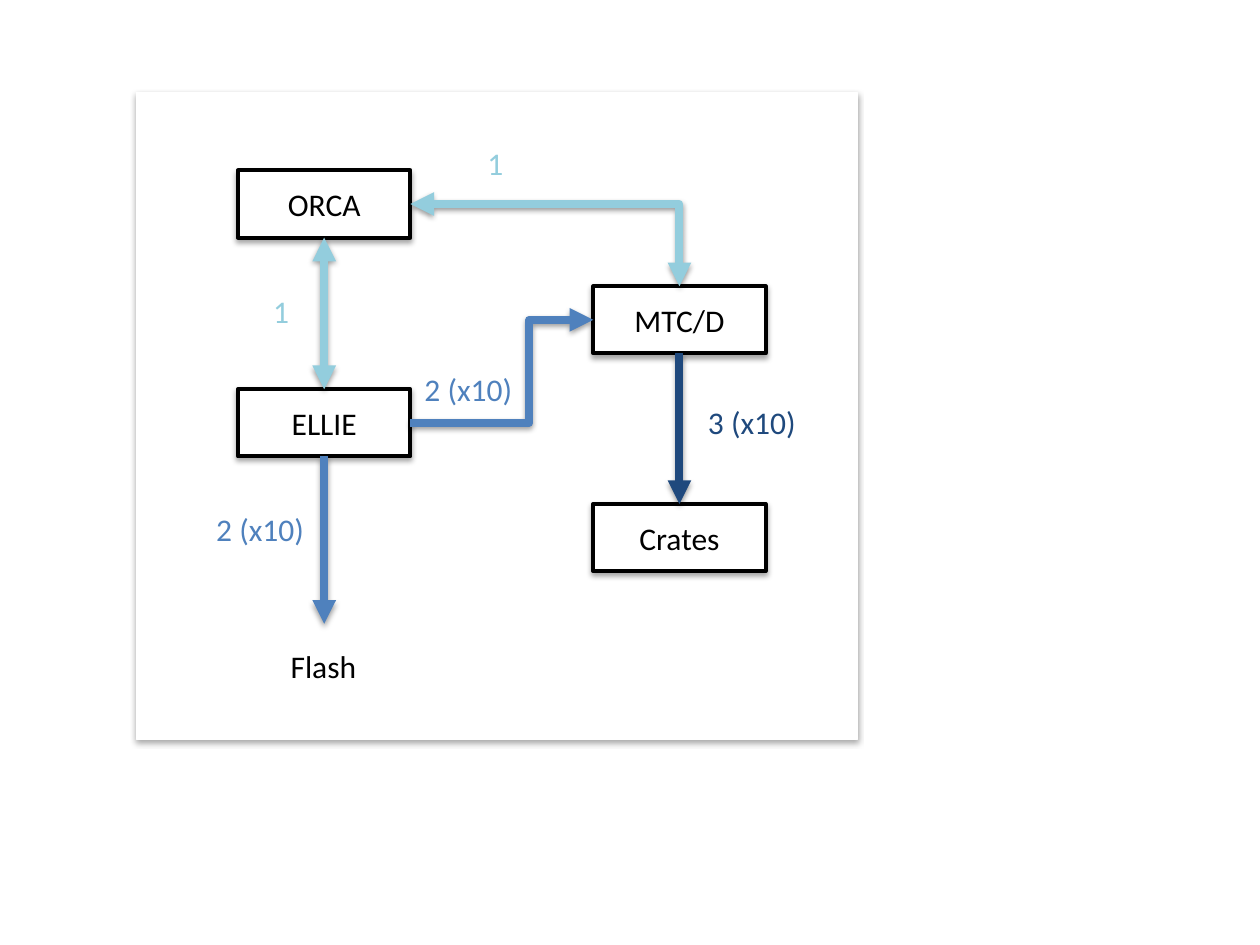
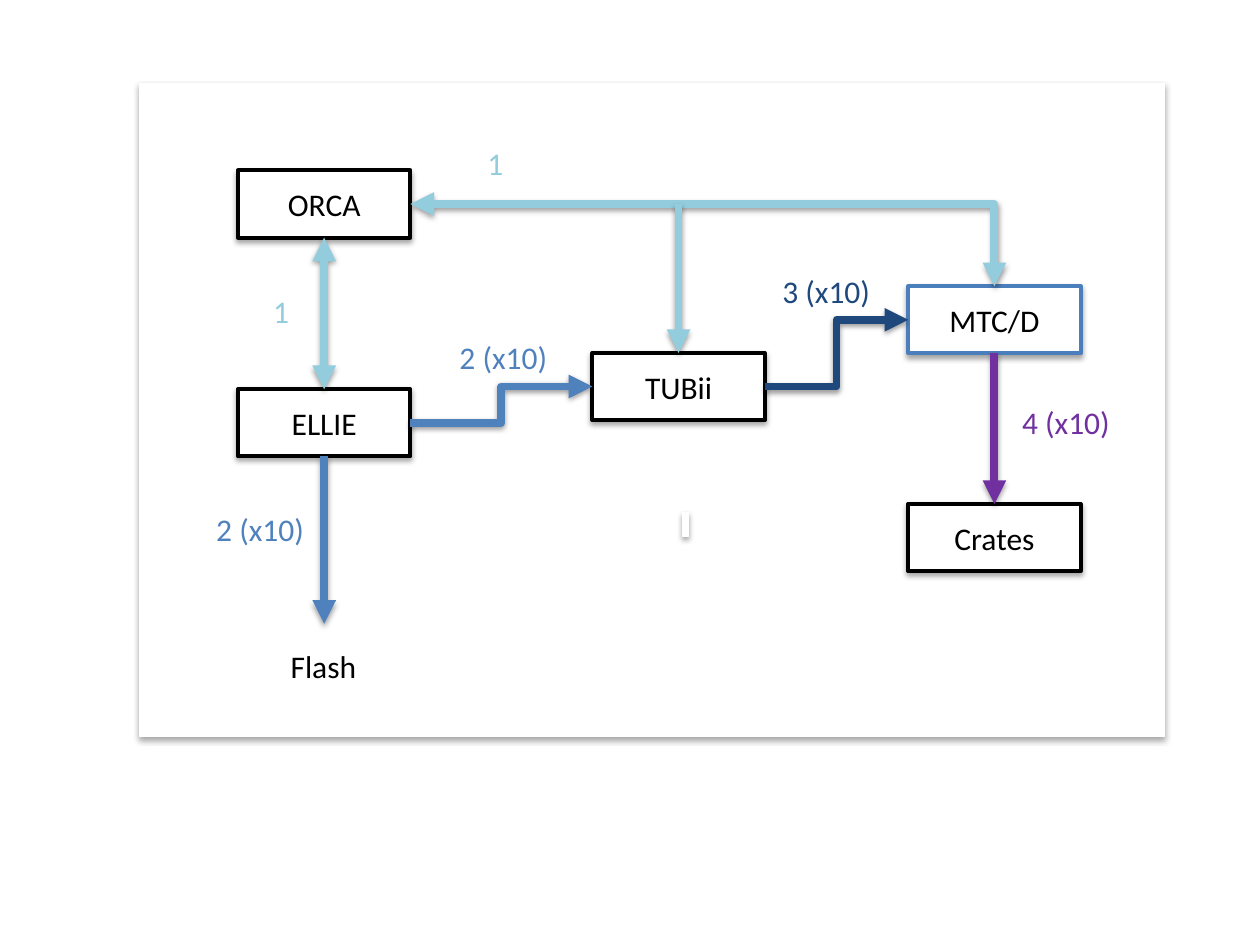
from dataclasses import dataclass
from typing import Any, Optional

from lxml.etree import SubElement
from pptx import Presentation
from pptx.dml.color import RGBColor
from pptx.enum.shapes import MSO_CONNECTOR as LINK, MSO_SHAPE as SHAPE
from pptx.enum.text import MSO_ANCHOR as ANCHOR, PP_ALIGN as ALIGN
from pptx.oxml.ns import qn
from pptx.util import Pt

# Colours
WHITE = RGBColor(0xFF, 0xFF, 0xFF)
BLACK = RGBColor(0x00, 0x00, 0x00)
SKY = RGBColor(0x93, 0xCD, 0xDD)
BLUE = RGBColor(0x4F, 0x81, 0xBD)
EDGE_BLUE = RGBColor(0x4B, 0x7E, 0xBC)
NAVY = RGBColor(0x1F, 0x49, 0x7D)
PURPLE = RGBColor(0x70, 0x30, 0xA0)

# Shared formats and measures, in points
FONT = {"name": "Calibri", "size": Pt(18)}
CENTRED = {"vertical_anchor": ANCHOR.MIDDLE, "word_wrap": True}
BOX_W, BOX_H = 98.5, 38.4
LABEL_H = 29
ONE_W, TIMES_W, FLASH_W = 25, 80.5, 52
LEFT_X, MIDDLE_X, RIGHT_X = 136, 339, 519
FLASH_TIP_Y = 356.5
TOP, LEFT, BOTTOM, RIGHT = range(4)


@dataclass(frozen=True)
class Box:
    x: float
    y: float
    text: str = ""
    edge: RGBColor = BLACK
    w: float = BOX_W
    h: float = BOX_H
    edge_width: float = 2.25

    def site(self, side: int) -> tuple[float, float]:
        """Middle of the given side."""
        middle_x, middle_y = self.x + self.w / 2, self.y + self.h / 2
        return ((middle_x, self.y), (self.x, middle_y),
                (middle_x, self.y + self.h), (self.x + self.w, middle_y))[side]


@dataclass(frozen=True)
class Arrow:
    """Runs between box sides; a free end is given as a point."""
    color: RGBColor
    start: Optional[tuple[Box, int]] = None
    end: Optional[tuple[Box, int]] = None
    point: tuple[float, float] = (0, 0)
    two_way: bool = False
    bend: Optional[float] = None  # share of the width; 1 is a single corner


@dataclass(frozen=True)
class Label:
    x: float
    y: float
    w: float
    text: str
    color: RGBColor
    wrap: bool = True


def apply(target: Any, values: dict) -> None:
    for key, value in values.items():
        setattr(target, key, value)


def add_shadow(properties: Any, distance: float, opacity: int) -> None:
    effects = SubElement(properties, qn("a:effectLst"))
    shadow = SubElement(effects, qn("a:outerShdw"), blurRad=str(Pt(3.15)),
                        dist=str(Pt(distance)), dir="5400000", rotWithShape="0")
    black = SubElement(shadow, qn("a:srgbClr"), val=str(BLACK))
    SubElement(black, qn("a:alpha"), val=str(opacity * 1000))


def write(frame: Any, text: str, color: RGBColor) -> None:
    run = frame.paragraphs[0].add_run()
    run.text = text
    apply(run.font, FONT)
    run.font.color.rgb = color


def draw_box(slide: Any, box: Box) -> Any:
    shape = slide.shapes.add_shape(SHAPE.RECTANGLE, Pt(box.x), Pt(box.y),
                                   Pt(box.w), Pt(box.h))
    shape.fill.solid()
    shape.fill.fore_color.rgb = WHITE
    shape.line.color.rgb = box.edge
    shape.line.width = Pt(box.edge_width)
    add_shadow(shape._element.spPr, 1.8, 35)
    if box.text:
        apply(shape.text_frame, CENTRED)
        shape.text_frame.paragraphs[0].alignment = ALIGN.CENTER
        write(shape.text_frame, box.text, BLACK)
    return shape


def draw_arrow(slide: Any, arrow: Arrow, shapes: dict[Box, Any]) -> None:
    begin, finish = (end[0].site(end[1]) if end else arrow.point
                     for end in (arrow.start, arrow.end))
    kind = LINK.STRAIGHT if arrow.bend is None else LINK.ELBOW
    line = slide.shapes.add_connector(kind, *map(Pt, begin + finish))
    for end, connect in ((arrow.start, line.begin_connect),
                         (arrow.end, line.end_connect)):
        if end:
            connect(shapes[end[0]], end[1])
    line.line.color.rgb = arrow.color
    line.line.width = Pt(4.5)

    # Arrowheads, bend and shadow
    properties = line._element.spPr
    outline = properties.find(qn("a:ln"))
    if arrow.two_way:
        SubElement(outline, qn("a:headEnd"), type="triangle")
    SubElement(outline, qn("a:tailEnd"), type="triangle")
    geometry = properties.find(qn("a:prstGeom"))
    if arrow.bend == 1:
        geometry.set("prst", "bentConnector2")
    elif arrow.bend:
        guides = geometry.find(qn("a:avLst"))
        SubElement(guides, qn("a:gd"), name="adj1",
                   fmla=f"val {round(arrow.bend * 100000)}")
    add_shadow(properties, 1.6, 38)


def draw_label(slide: Any, label: Label) -> None:
    frame = slide.shapes.add_textbox(Pt(label.x), Pt(label.y), Pt(label.w),
                                     Pt(LABEL_H)).text_frame
    frame.word_wrap = label.wrap
    write(frame, label.text, label.color)


def draw_slide(deck: Any, boxes: list[Box], arrows: list[Arrow],
               labels: list[Label]) -> None:
    slide = deck.slides.add_slide(deck.slide_layouts[6])
    shapes = {box: draw_box(slide, box) for box in boxes}
    for arrow in arrows:
        draw_arrow(slide, arrow, shapes)
    for label in labels:
        draw_label(slide, label)


def panel(x: float, y: float, w: float, h: float) -> Box:
    return Box(x, y, edge=WHITE, w=w, h=h, edge_width=0.75)


# Parts on both slides
ORCA = Box(LEFT_X, 97.4, "ORCA")
ELLIE = Box(LEFT_X, 222.4, "ELLIE")
SHARED_ARROWS = [
    Arrow(SKY, (ELLIE, TOP), (ORCA, BOTTOM), two_way=True),
    Arrow(BLUE, (ELLIE, BOTTOM), point=(ELLIE.site(BOTTOM)[0], FLASH_TIP_Y)),
]
SHARED_LABELS = [
    Label(159, 366, FLASH_W, "Flash", BLACK, wrap=False),
    Label(271.5, 78.5, ONE_W, "1", SKY),
    Label(149, 163.5, ONE_W, "1", SKY),
    Label(116.5, 288, TIMES_W, "2 (x10)", BLUE),
]


def trigger_end(x: float, edge: RGBColor, color: RGBColor
                ) -> tuple[Box, Box, list[Arrow]]:
    """MTC/D above Crates, with the arrows from ORCA and to Crates."""
    mtcd, crates = Box(x, 163.6, "MTC/D", edge), Box(x, 288, "Crates")
    return mtcd, crates, [
        Arrow(SKY, (ORCA, RIGHT), (mtcd, TOP), two_way=True, bend=1),
        Arrow(color, (mtcd, BOTTOM), (crates, TOP)),
    ]


def draw_direct(deck: Any) -> None:
    """ELLIE feeds MTC/D directly."""
    mtcd, crates, end_arrows = trigger_end(MIDDLE_X, BLACK, NAVY)
    draw_slide(
        deck,
        [panel(78, 53, 412, 369.5), ORCA, mtcd, crates, ELLIE],
        SHARED_ARROWS + end_arrows
        + [Arrow(BLUE, (ELLIE, RIGHT), (mtcd, LEFT), bend=0.65)],
        SHARED_LABELS + [Label(235.5, 208, TIMES_W, "2 (x10)", BLUE),
                         Label(397.5, 227, TIMES_W, "3 (x10)", NAVY)],
    )


def draw_through_tubii(deck: Any) -> None:
    """ELLIE feeds MTC/D through TUBii."""
    mtcd, crates, end_arrows = trigger_end(RIGHT_X, EDGE_BLUE, PURPLE)
    tubii = Box(338.5, 201.7, "TUBii")
    branch = (tubii.site(TOP)[0], ORCA.site(RIGHT)[1])
    draw_slide(
        deck,
        [panel(80, 48, 585.5, 373), ORCA, mtcd, crates, ELLIE,
         panel(390, 293, 3.6, 13.7), tubii],
        SHARED_ARROWS + end_arrows + [
            Arrow(SKY, end=(tubii, TOP), point=branch),
            Arrow(BLUE, (ELLIE, RIGHT), (tubii, LEFT), bend=0.5),
            Arrow(NAVY, (tubii, RIGHT), (mtcd, LEFT), bend=0.5),
        ],
        SHARED_LABELS + [Label(577, 227, TIMES_W, "4 (x10)", PURPLE),
                         Label(255.5, 189.5, TIMES_W, "2 (x10)", BLUE),
                         Label(440, 152, TIMES_W, "3 (x10)", NAVY)],
    )


def main() -> None:
    deck = Presentation()
    apply(deck, {"slide_width": Pt(720), "slide_height": Pt(540)})
    draw_direct(deck)
    draw_through_tubii(deck)
    deck.save("out.pptx")


if __name__ == "__main__":
    main()
